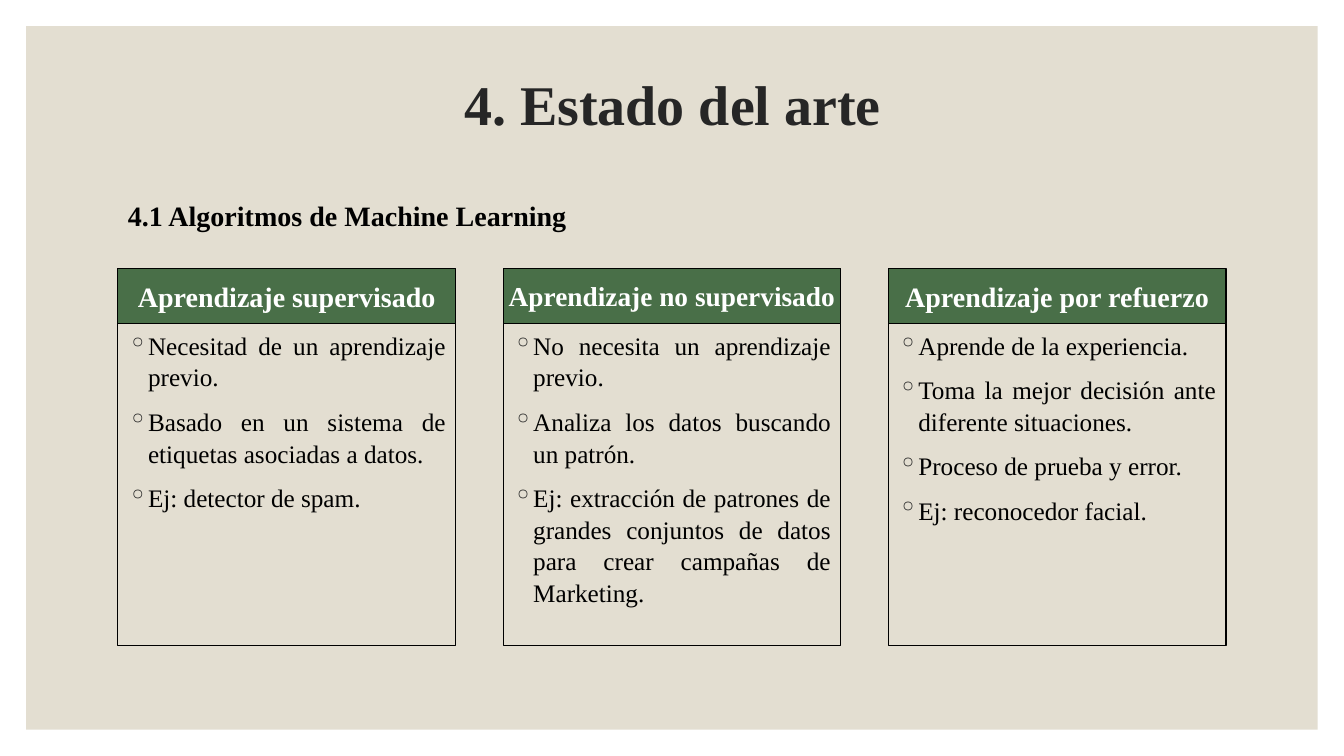
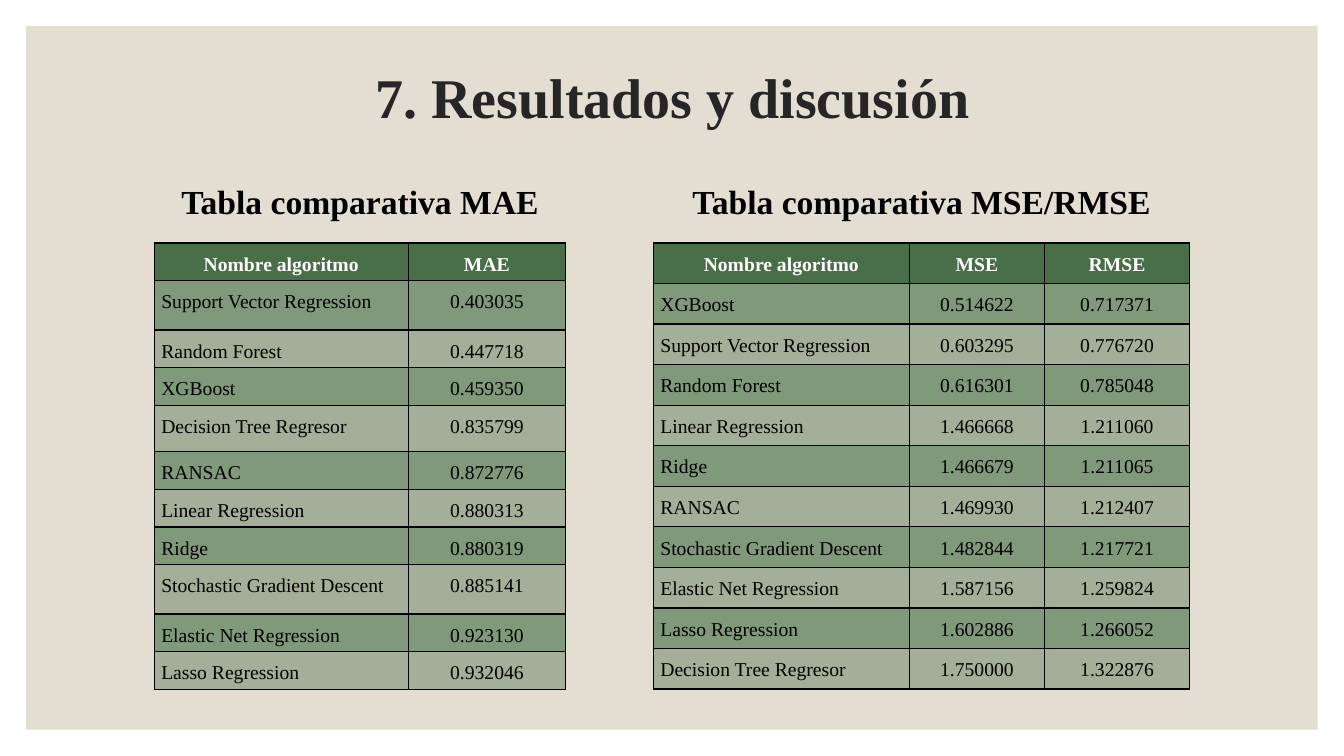
from lxml import etree
from pptx import Presentation
from pptx.dml.color import RGBColor
from pptx.enum.shapes import MSO_SHAPE
from pptx.enum.text import MSO_ANCHOR, PP_ALIGN
from pptx.oxml import parse_xml
from pptx.oxml.ns import nsdecls, qn
from pptx.util import Inches, Pt

RECTANGLE = MSO_SHAPE.RECTANGLE
TOP, MIDDLE = MSO_ANCHOR.TOP, MSO_ANCHOR.MIDDLE
LEFT, CENTER, JUSTIFY = PP_ALIGN.LEFT, PP_ALIGN.CENTER, PP_ALIGN.JUSTIFY

FONT = "Times New Roman"
BLACK, WHITE, CHARCOAL = "000000", "FFFFFF", "262626"
SAND, GREEN = "E3DED1", "496F48"
BANDS = ["81997B", "A3AF98"]

SLIDE_WIDTH, SLIDE_HEIGHT, FRAME = 13.33, 7.5, 0.26
CONTENT_LEFT, CONTENT_WIDTH = 1.17, 11


def write_text(frame, *lines, size, color=BLACK, bold=False, align=LEFT, anchor=TOP,
               spacing=1.0, before=0, after=0, bullet=None):
    """Fill a text frame with one paragraph per line, all in one format."""
    frame.word_wrap = True
    frame.vertical_anchor = anchor
    for number, line in enumerate(lines):
        paragraph = frame.add_paragraph() if number else frame.paragraphs[0]
        paragraph.alignment = align
        paragraph.line_spacing = spacing
        paragraph.space_before, paragraph.space_after = Pt(before), Pt(after)
        run = paragraph.add_run()
        run.text = line
        run.font.name, run.font.size, run.font.bold = FONT, Pt(size), bold
        run.font.color.rgb = RGBColor.from_string(color)
        if bullet:
            properties = paragraph._p.get_or_add_pPr()
            properties.set("marL", str(Inches(0.2)))
            properties.set("indent", str(-Inches(0.2)))
            bullet_color = etree.SubElement(properties, qn("a:buClr"))
            etree.SubElement(bullet_color, qn("a:srgbClr"), val=CHARCOAL)
            etree.SubElement(properties, qn("a:buChar"), char=bullet)


def add_box(slide, left, top, width, height, fill=None, line=None):
    box = slide.shapes.add_shape(RECTANGLE, Inches(left), Inches(top),
                                 Inches(width), Inches(height))
    box.shadow.inherit = False
    for part, color in ((box.fill, fill), (box.line.fill, line)):
        if color:
            part.solid()
            part.fore_color.rgb = RGBColor.from_string(color)
        else:
            part.background()
    if line:
        box.line.width = Pt(0.75)
    return box


presentation = Presentation()
presentation.slide_width = Inches(SLIDE_WIDTH)
presentation.slide_height = Inches(SLIDE_HEIGHT)

# Background and title of every slide
slides = []
for title, title_top in (("4. Estado del arte", 0.32), ("7. Resultados y discusión", 0.25)):
    slide = presentation.slides.add_slide(presentation.slide_layouts[6])
    add_box(slide, FRAME, FRAME, SLIDE_WIDTH - 2 * FRAME, SLIDE_HEIGHT - 2 * FRAME, fill=SAND)
    title_box = slide.shapes.add_textbox(Inches(CONTENT_LEFT), Inches(title_top),
                                         Inches(CONTENT_WIDTH), Inches(1.5))
    write_text(title_box.text_frame, title, size=40, color=CHARCOAL, bold=True,
               align=CENTER, anchor=MIDDLE, spacing=0.9)
    slides.append(slide)
state_slide, results_slide = slides

# Slide 1: three kinds of learning
subtitle = state_slide.shapes.add_textbox(Inches(CONTENT_LEFT), Inches(1.92),
                                          Inches(CONTENT_WIDTH), Inches(0.74))
write_text(subtitle.text_frame, "4.1 Algoritmos de Machine Learning", size=20, bold=True)

CARD_WIDTH, CARD_STEP = 3.35, 3.82
HEADER_TOP, HEADER_HEIGHT, BODY_HEIGHT = 2.66, 0.55, 3.19
cards = [
    ("Aprendizaje supervisado", 20, [
        "Necesitad de un aprendizaje previo.",
        "Basado en un sistema de etiquetas asociadas a datos.",
        "Ej: detector de spam."]),
    ("Aprendizaje no supervisado", 19.5, [
        "No necesita un aprendizaje previo.",
        "Analiza los datos buscando un patrón.",
        "Ej: extracción de patrones de grandes conjuntos de datos para crear campañas "
        "de Marketing."]),
    ("Aprendizaje por refuerzo", 20, [
        "Aprende de la experiencia.",
        "Toma la mejor decisión ante diferente situaciones.",
        "Proceso de prueba y error.",
        "Ej: reconocedor facial."]),
]
for index, (heading, heading_size, points) in enumerate(cards):
    left = CONTENT_LEFT + index * CARD_STEP
    body = add_box(state_slide, left, HEADER_TOP + HEADER_HEIGHT, CARD_WIDTH, BODY_HEIGHT,
                   line=BLACK)
    write_text(body.text_frame, *points, size=18, align=JUSTIFY, spacing=1.05, before=9,
               bullet="◦")
    header = add_box(state_slide, left, HEADER_TOP, CARD_WIDTH, HEADER_HEIGHT,
                     fill=GREEN, line=BLACK)
    header.text_frame.margin_left = header.text_frame.margin_right = 0
    write_text(header.text_frame, heading, size=heading_size, color=WHITE, bold=True,
               align=CENTER, anchor=MIDDLE)

# Slide 2: two comparison tables
TABLE_TOP, TABLE_HEIGHT = 2.41, 4.43
mae_rows = [
    ("Nombre algoritmo", "MAE"),
    ("Support Vector Regression", "0.403035"),
    ("Random Forest", "0.447718"),
    ("XGBoost", "0.459350"),
    ("Decision Tree Regresor", "0.835799"),
    ("RANSAC", "0.872776"),
    ("Linear Regression", "0.880313"),
    ("Ridge", "0.880319"),
    ("Stochastic Gradient Descent", "0.885141"),
    ("Elastic Net Regression", "0.923130"),
    ("Lasso Regression", "0.932046"),
]
mse_rows = [
    ("Nombre algoritmo", "MSE", "RMSE"),
    ("XGBoost", "0.514622", "0.717371"),
    ("Support Vector Regression", "0.603295", "0.776720"),
    ("Random Forest", "0.616301", "0.785048"),
    ("Linear Regression", "1.466668", "1.211060"),
    ("Ridge", "1.466679", "1.211065"),
    ("RANSAC", "1.469930", "1.212407"),
    ("Stochastic Gradient Descent", "1.482844", "1.217721"),
    ("Elastic Net Regression", "1.587156", "1.259824"),
    ("Lasso Regression", "1.602886", "1.266052"),
    ("Decision Tree Regresor", "1.750000", "1.322876"),
]
# The rows named by number are taller; the others share the remaining height
tables = [
    ("Tabla comparativa MAE", 1.53, [2.52, 1.56], mae_rows, {1: 0.49, 4: 0.46, 8: 0.49}),
    ("Tabla comparativa MSE/RMSE", 6.48, [2.54, 1.34, 1.44], mse_rows, {}),
]
for caption, left, widths, rows, tall_rows in tables:
    table_width = Inches(sum(widths))
    caption_box = results_slide.shapes.add_textbox(Inches(left), Inches(1.75),
                                                   table_width, Inches(0.5))
    write_text(caption_box.text_frame, caption, size=24, bold=True, align=CENTER)

    table = results_slide.shapes.add_table(len(rows), len(widths), Inches(left),
                                           Inches(TABLE_TOP), table_width,
                                           Inches(TABLE_HEIGHT)).table
    for column, width in zip(table.columns, widths):
        column.width = Inches(width)
    plain_height = (TABLE_HEIGHT - sum(tall_rows.values())) / (len(rows) - len(tall_rows))
    for row_number, values in enumerate(rows):
        table.rows[row_number].height = Inches(tall_rows.get(row_number, plain_height))
        is_header = row_number == 0
        for column_number, value in enumerate(values):
            cell = table.cell(row_number, column_number)
            cell.margin_left = cell.margin_right = Inches(0.07)
            cell.margin_top = cell.margin_bottom = 0
            for side in ("lnL", "lnR", "lnT", "lnB"):
                cell._tc.get_or_add_tcPr().append(parse_xml(
                    f'<a:{side} {nsdecls("a")} w="{Pt(1)}"><a:solidFill>'
                    f'<a:srgbClr val="{BLACK}"/></a:solidFill></a:{side}>'))
            cell.fill.solid()
            cell.fill.fore_color.rgb = RGBColor.from_string(
                GREEN if is_header else BANDS[(row_number - 1) % 2])
            write_text(cell.text_frame, value, size=14, color=WHITE if is_header else BLACK,
                       bold=is_header, spacing=1.5, after=10,
                       align=CENTER if is_header or column_number else LEFT)

presentation.save("out.pptx")
